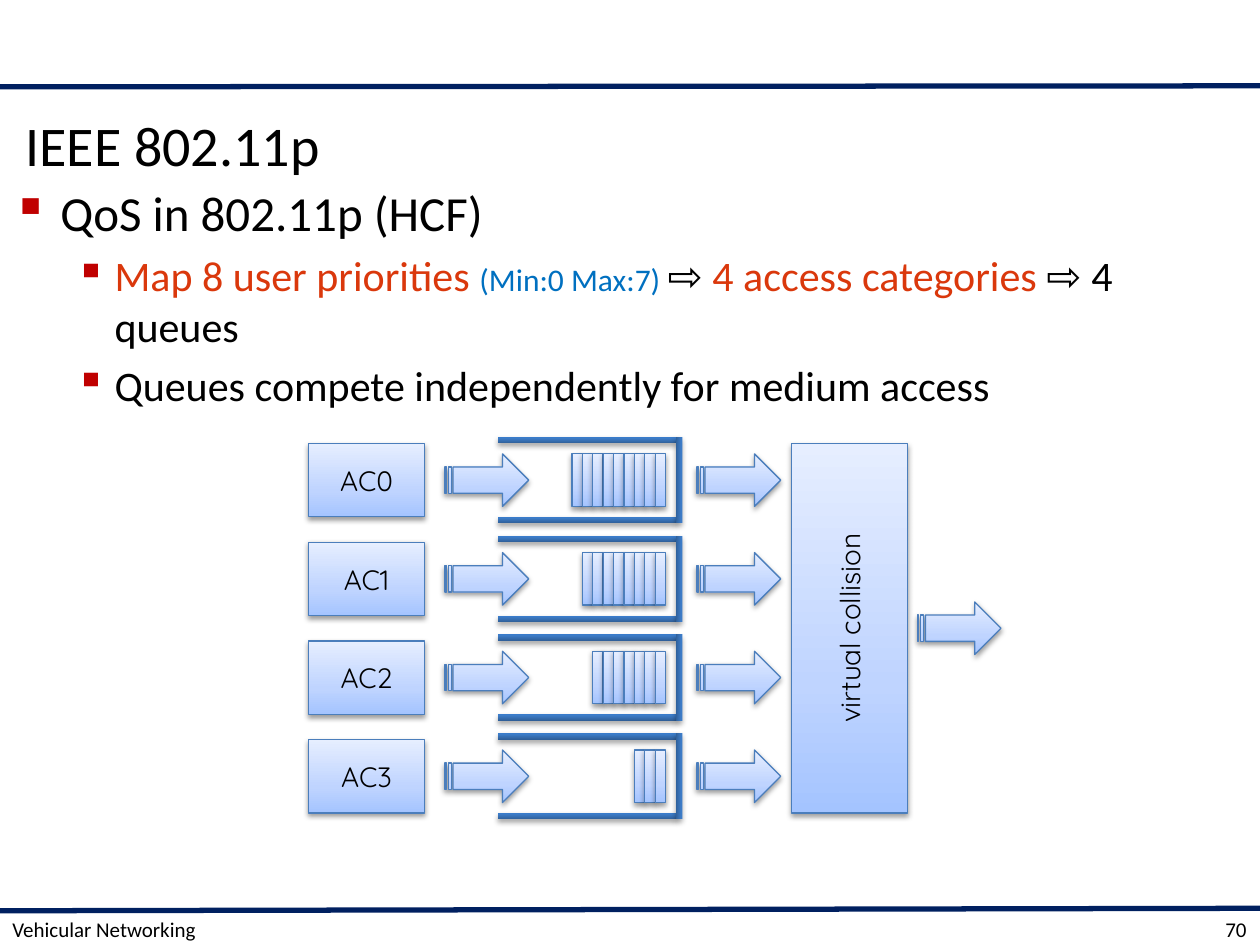
from copy import deepcopy
from dataclasses import dataclass

from lxml.etree import SubElement
from pptx import Presentation
from pptx.dml.color import RGBColor
from pptx.enum.shapes import MSO_CONNECTOR, MSO_SHAPE
from pptx.enum.text import MSO_ANCHOR, MSO_AUTO_SIZE, PP_ALIGN
from pptx.oxml.ns import qn
from pptx.shapes.autoshape import Shape
from pptx.slide import Slide
from pptx.util import Cm, Pt

COLORS = {
    "black": "000000", "rule": "002060", "bullet": "C00000",
    "red": "DA380C", "blue": "0070C0", "outline": "4B7EBC",
}
BODY_FONT, DIAGRAM_FONT = "Calibri", "Quicksand"

# Diagram grid, in centimetres
ROW_TOP, ROW_PITCH, ROW_HEIGHT = 8.94, 1.99, 1.48
BOX_WIDTH = 2.34
ARROW_WIDTH, ARROW_HEIGHT = 1.69, 1.06
PACKET_WIDTH, PACKETS_RIGHT = 0.21, 13.42
RAIL_LEFT, RAIL_LENGTH, RAIL_THICKNESS = 10.03, 3.61, 0.13
END_RAIL_CENTER = 13.69


@dataclass(frozen=True)
class Style:
    stops: tuple[tuple[float, str], ...]
    outline: str | None
    shadow_opacity: int
    shadow_distance: float


@dataclass(frozen=True)
class Queue:
    name: str
    packets: int


@dataclass(frozen=True)
class Span:
    text: str
    size: int = 24
    color: str = "black"


@dataclass(frozen=True)
class Bullet:
    spans: tuple[Span, ...]
    level: int
    indent: float
    hanging: float
    space_before: float


LIGHT = Style(((0, "A4C4FF"), (0.35, "BFD4FF"), (1, "E6EEFF")), "outline", 38, 1.6)
DARK = Style(((0, "2F5F99"), (0.8, "3D7CC7"), (1, "3A7CCB")), None, 35, 1.8)

QUEUES = [Queue("AC0", 9), Queue("AC1", 8), Queue("AC2", 7), Queue("AC3", 3)]

BULLETS = [
    Bullet((Span("QoS in 802.11p (HCF)", 28),), 0, 0.97, 0.97, 0),
    Bullet((Span("Map 8 user priorities ", color="red"),
            Span("(Min:0 Max:7) ", 18, "blue"),
            Span("⇨ "),
            Span("4 access categories ", color="red"),
            Span("⇨ 4 queues")), 1, 2.06, 0.79, 4.8),
    Bullet((Span("Queues compete independently for medium access"),), 1, 2.06, 0.79, 4.8),
]


def rgb(name: str) -> RGBColor:
    return RGBColor.from_string(COLORS[name])


def format_font(font, size: int, name: str, color: str = "black") -> None:
    font.size, font.name = Pt(size), name
    font.color.rgb = rgb(color)


def add_rule(page: Slide, left_y: float, right_y: float) -> None:
    rule = page.shapes.add_connector(
        MSO_CONNECTOR.STRAIGHT, 0, Cm(left_y), Cm(25.4), Cm(right_y))
    rule.line.color.rgb = rgb("rule")
    rule.line.width = Pt(3)
    SubElement(rule._element.spPr, qn("a:effectLst"))


def apply_gradient(shape: Shape, style: Style) -> None:
    fill = shape.fill
    fill.gradient()
    fill.gradient_angle = 90
    stop_list = shape._element.spPr.find(qn("a:gradFill")).find(qn("a:gsLst"))
    stop_list.append(deepcopy(stop_list[-1]))
    for stop, (position, color) in zip(fill.gradient_stops, style.stops):
        stop.position = position
        stop.color.rgb = RGBColor.from_string(color)


def apply_shadow(shape: Shape, style: Style) -> None:
    shape.shadow.inherit = False
    effects = shape._element.spPr.find(qn("a:effectLst"))
    shadow = SubElement(effects, qn("a:outerShdw"), blurRad=str(Pt(3.1)),
                        dist=str(Pt(style.shadow_distance)), dir="5400000", rotWithShape="0")
    color = SubElement(shadow, qn("a:srgbClr"), val=COLORS["black"])
    SubElement(color, qn("a:alpha"), val=str(style.shadow_opacity * 1000))


def add_block(page: Slide, left: float, top: float, width: float, height: float,
              style: Style = LIGHT, kind: MSO_SHAPE = MSO_SHAPE.RECTANGLE) -> Shape:
    block = page.shapes.add_shape(kind, Cm(left), Cm(top), Cm(width), Cm(height))
    apply_gradient(block, style)
    if style.outline:
        block.line.color.rgb = rgb(style.outline)
        block.line.width = Pt(0.75)
    else:
        block.line.fill.background()
    apply_shadow(block, style)
    return block


def add_arrow(page: Slide, left: float, middle: float) -> None:
    add_block(page, left, middle - ARROW_HEIGHT / 2, ARROW_WIDTH, ARROW_HEIGHT,
              kind=MSO_SHAPE.STRIPED_RIGHT_ARROW)


def label_block(block: Shape, text: str) -> None:
    frame = block.text_frame
    frame.text = text
    frame.word_wrap = False
    frame.vertical_anchor = MSO_ANCHOR.MIDDLE
    para = frame.paragraphs[0]
    para.alignment = PP_ALIGN.CENTER
    format_font(para.runs[0].font, 16, DIAGRAM_FONT)


def add_queue(page: Slide, queue: Queue, top: float) -> None:
    """Draw one row: category box, arrow in, queue with packets, arrow out."""
    middle = top + ROW_HEIGHT / 2
    for number in range(queue.packets, 0, -1):
        add_block(page, PACKETS_RIGHT - number * PACKET_WIDTH, middle - ARROW_HEIGHT / 2,
                  PACKET_WIDTH, ARROW_HEIGHT)
    for rail_top in (top + ROW_HEIGHT, top - RAIL_THICKNESS):
        add_block(page, RAIL_LEFT, rail_top, RAIL_LENGTH, RAIL_THICKNESS, DARK)
    end_length = ROW_HEIGHT + 2 * RAIL_THICKNESS
    end_rail = add_block(page, END_RAIL_CENTER - end_length / 2, middle - RAIL_THICKNESS / 2,
                         end_length, RAIL_THICKNESS, DARK)
    end_rail.rotation = 90
    label_block(add_block(page, 6.22, top, BOX_WIDTH, ROW_HEIGHT), queue.name)
    for arrow_left in (8.97, 14.05):
        add_arrow(page, arrow_left, middle)


def add_title(page: Slide, text: str) -> None:
    title = page.shapes.title
    title.left, title.top, title.width, title.height = Cm(0), Cm(1.9), Cm(25.4), Cm(2.03)
    frame = title.text_frame
    frame.text = text
    frame.auto_size = MSO_AUTO_SIZE.NONE
    frame.vertical_anchor = MSO_ANCHOR.MIDDLE
    frame.margin_left = frame.margin_right = Cm(0.51)
    para = frame.paragraphs[0]
    para.alignment = PP_ALIGN.LEFT
    format_font(para.runs[0].font, 32, BODY_FONT)


def add_bullets(page: Slide, bullets: list[Bullet]) -> None:
    frame = page.shapes.add_textbox(Cm(0), Cm(3.56), Cm(25.37), Cm(13.79)).text_frame
    frame.word_wrap = True
    for index, bullet in enumerate(bullets):
        para = frame.add_paragraph() if index else frame.paragraphs[0]
        para.level = bullet.level
        para.space_before = Pt(bullet.space_before)
        properties = para._p.get_or_add_pPr()
        properties.set("marL", str(Cm(bullet.indent)))
        properties.set("indent", str(-Cm(bullet.hanging)))
        bullet_color = SubElement(properties, qn("a:buClr"))
        SubElement(bullet_color, qn("a:srgbClr"), val=COLORS["bullet"])
        SubElement(properties, qn("a:buChar"), char="▪")
        for span in bullet.spans:
            run = para.add_run()
            run.text = span.text
            format_font(run.font, span.size, BODY_FONT, span.color)


def add_footer(page: Slide, text: str, left: float, width: float, alignment: PP_ALIGN) -> None:
    frame = page.shapes.add_textbox(Cm(left), Cm(18.42), Cm(width), Cm(0.63)).text_frame
    frame.text = text
    frame.word_wrap = True
    frame.vertical_anchor = MSO_ANCHOR.MIDDLE
    frame.paragraphs[0].alignment = alignment
    format_font(frame.paragraphs[0].runs[0].font, 12, BODY_FONT)


def main() -> None:
    deck = Presentation()
    deck.slide_width, deck.slide_height = Cm(25.4), Cm(19.05)
    page = deck.slides.add_slide(deck.slide_layouts[5])
    add_rule(page, 18.36, 18.31)
    add_rule(page, 1.75, 1.73)
    add_title(page, "IEEE 802.11p")
    add_bullets(page, BULLETS)
    for row, queue in enumerate(QUEUES):
        add_queue(page, queue, ROW_TOP + row * ROW_PITCH)
    collision_height = (len(QUEUES) - 1) * ROW_PITCH + ROW_HEIGHT
    collision = add_block(page, 15.95, ROW_TOP, BOX_WIDTH, collision_height)
    label_block(collision, "virtual collision")
    collision.text_frame._txBody.bodyPr.set("vert", "vert270")
    add_arrow(page, 18.49, ROW_TOP + collision_height / 2)
    add_footer(page, "Vehicular Networking", 0, 25.4, PP_ALIGN.LEFT)
    add_footer(page, "70", 22.43, 2.95, PP_ALIGN.RIGHT)
    deck.save("out.pptx")


if __name__ == "__main__":
    main()
